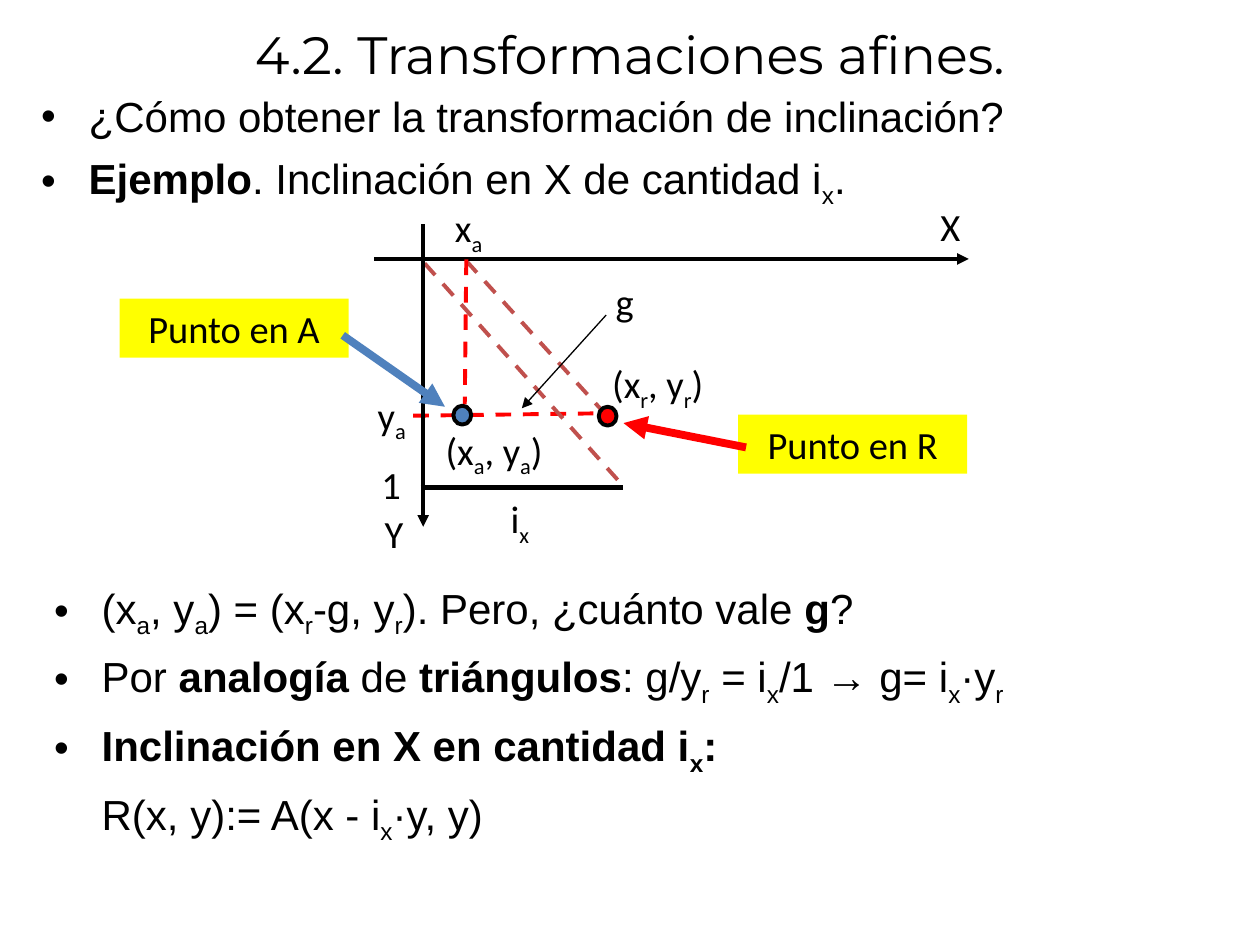
from dataclasses import dataclass

from lxml.etree import SubElement
from pptx import Presentation
from pptx.dml.color import RGBColor
from pptx.enum.dml import MSO_LINE
from pptx.enum.shapes import MSO_CONNECTOR, MSO_SHAPE
from pptx.enum.text import MSO_ANCHOR, PP_ALIGN
from pptx.oxml.ns import qn
from pptx.util import Cm, Pt


@dataclass(frozen=True)
class Theme:
    black: RGBColor = RGBColor(0x00, 0x00, 0x00)
    red: RGBColor = RGBColor(0xFF, 0x00, 0x00)
    brick: RGBColor = RGBColor(0xC0, 0x50, 0x4D)
    blue: RGBColor = RGBColor(0x4F, 0x81, 0xBD)
    yellow: RGBColor = RGBColor(0xFF, 0xFF, 0x00)
    title_font: str = "Montserrat"
    body_font: str = "Arial"
    label_font: str = "Calibri"
    title_size: float = 30
    body_size: float = 24
    label_size: float = 22
    paragraph_gap: float = 6.5
    thin: float = 0.75
    medium: float = 2.25
    thick: float = 3
    heavy: float = 4.5


THEME = Theme()


@dataclass(frozen=True)
class Run:
    text: str
    bold: bool = False
    subscript: bool = False


@dataclass(frozen=True)
class Item:
    runs: list[Run]
    bulleted: bool = True


@dataclass(frozen=True)
class Label:
    left: float
    top: float
    width: float
    runs: list[Run]
    align: PP_ALIGN = PP_ALIGN.CENTER


@dataclass(frozen=True)
class Segment:
    start: tuple[float, float]
    end: tuple[float, float]
    color: RGBColor = THEME.black
    width: float = THEME.medium
    dashed: bool = False
    arrow: bool = False


@dataclass(frozen=True)
class Callout:
    left: float
    top: float
    text: str
    start: tuple[float, float]
    end: tuple[float, float]
    color: RGBColor


@dataclass(frozen=True)
class Dot:
    left: float
    top: float
    color: RGBColor


def sub(text: str, bold: bool = False) -> Run:
    """Return a subscript run."""
    return Run(text, bold, True)


def pair(index: str) -> list[Run]:
    """Return the runs of a coordinate pair with the given subscript."""
    return [Run("(x"), sub(index), Run(", y"), sub(index), Run(")")]


QUESTION = [
    Item([Run("¿Cómo obtener la transformación de inclinación?")]),
    Item([Run("Ejemplo", True), Run(". Inclinación en X de cantidad i"), sub("x"), Run(".")]),
]
ANSWER = [
    Item([*pair("a"), Run(" = (x"), sub("r"), Run("-g, y"), sub("r"),
          Run("). Pero, ¿cuánto vale "), Run("g", True), Run("?")]),
    Item([Run("Por "), Run("analogía", True), Run(" de "), Run("triángulos", True),
          Run(": g/y"), sub("r"), Run(" = i"), sub("x"), Run("/1 → g= i"), sub("x"),
          Run("·y"), sub("r")]),
    Item([Run("Inclinación en X en cantidad i", True), sub("x", True), Run(":", True)]),
    Item([Run("R(x, y):= A(x - i"), sub("x"), Run("·y, y)")], bulleted=False),
]
SEGMENTS = [
    Segment((9.4, 5.26), (12.14, 8.28), THEME.brick, dashed=True),
    Segment((8.33, 8.38), (12.27, 8.33), THEME.red, dashed=True),
    Segment((8.48, 9.83), (12.55, 9.83), width=THEME.thick),
    Segment((8.56, 5.31), (12.52, 9.75), THEME.brick, dashed=True),
    Segment((7.54, 5.22), (19.53, 5.22), arrow=True),
    Segment((8.53, 4.52), (8.53, 10.62), arrow=True),
    Segment((9.4, 5.23), (9.37, 8.15), THEME.red, dashed=True),
    Segment((12.22, 6.35), (10.52, 8.23), width=THEME.thin, arrow=True),
]
DOTS = [Dot(12.07, 8.2, THEME.red), Dot(9.14, 8.18, THEME.blue)]
CALLOUTS = [
    Callout(2.41, 6.02, "Punto en A", (6.91, 6.76), (8.97, 8.2), THEME.blue),
    Callout(14.88, 8.36, "Punto en R", (15.04, 9.02), (12.57, 8.53), THEME.red),
]
LABELS = [
    Label(9.68, 9.86, 1.6, [Run("i"), sub("x")]),
    Label(18.54, 3.96, 1.07, [Run("X")], PP_ALIGN.RIGHT),
    Label(7.26, 10.16, 1.12, [Run("Y")], PP_ALIGN.RIGHT),
    Label(8.92, 3.99, 1.88, [Run("x"), sub("a")], PP_ALIGN.LEFT),
    Label(8.41, 8.48, 3.1, pair("a")),
    Label(7.26, 9.17, 1.07, [Run("1")], PP_ALIGN.RIGHT),
    Label(6.93, 7.77, 1.5, [Run("y"), sub("a")], PP_ALIGN.RIGHT),
    Label(11.84, 7.14, 2.84, pair("r")),
    Label(11.86, 5.49, 1.47, [Run("g")]),
]
LABEL_HEIGHT = 1.19


def add_runs(paragraph, runs: list[Run], font: str, size: float) -> None:
    """Append formatted runs to a paragraph."""
    for part in runs:
        run = paragraph.add_run()
        run.text = part.text
        run.font.name = font
        run.font.size = Pt(size)
        run.font.bold = part.bold
        run.font.color.rgb = THEME.black
        if part.subscript:
            run.font._element.set("baseline", "-25000")


def add_title(slide, text: str) -> None:
    """Place and format the slide title."""
    title = slide.shapes.title
    title.left, title.top, title.width, title.height = Cm(0.5), Cm(0), Cm(24.4), Cm(2.16)
    title.text_frame.vertical_anchor = MSO_ANCHOR.MIDDLE
    paragraph = title.text_frame.paragraphs[0]
    paragraph.alignment = PP_ALIGN.CENTER
    add_runs(paragraph, [Run(text)], THEME.title_font, THEME.title_size)


def add_list(slide, left: float, top: float, height: float, items: list[Item]) -> None:
    """Draw a bulleted list."""
    box = slide.shapes.add_textbox(Cm(left), Cm(top), Cm(24.08), Cm(height))
    frame = box.text_frame
    frame.word_wrap = True
    indent = Cm(0.96)
    for index, item in enumerate(items):
        paragraph = frame.add_paragraph() if index else frame.paragraphs[0]
        properties = paragraph._p.get_or_add_pPr()
        properties.set("marL", str(indent))
        if item.bulleted:
            properties.set("indent", str(-indent))
            SubElement(properties, qn("a:buFont"), typeface=THEME.body_font)
            SubElement(properties, qn("a:buChar"), char="•")
        if index:
            paragraph.space_before = Pt(THEME.paragraph_gap)
        add_runs(paragraph, item.runs, THEME.body_font, THEME.body_size)


def style_line(line, color: RGBColor, width: float, arrow: bool = False) -> None:
    """Set the colour, width and arrowhead of a line."""
    line.color.rgb = color
    line.width = Pt(width)
    if arrow:
        SubElement(line._get_or_add_ln(), qn("a:tailEnd"), type="triangle")


def add_segment(slide, segment: Segment) -> None:
    """Draw a straight line of the diagram."""
    connector = slide.shapes.add_connector(
        MSO_CONNECTOR.STRAIGHT, *map(Cm, segment.start + segment.end))
    if segment.dashed:
        connector.line.dash_style = MSO_LINE.DASH
    style_line(connector.line, segment.color, segment.width, segment.arrow)
    SubElement(connector._element.spPr, qn("a:effectLst"))


def add_filled(slide, kind: MSO_SHAPE, bounds: tuple[float, ...], color: RGBColor):
    """Draw a filled preset shape and return it."""
    shape = slide.shapes.add_shape(kind, *map(Cm, bounds))
    shape.shadow.inherit = False
    shape.fill.solid()
    shape.fill.fore_color.rgb = color
    return shape


def add_dot(slide, dot: Dot) -> None:
    """Draw an outlined point."""
    shape = add_filled(slide, MSO_SHAPE.OVAL, (dot.left, dot.top, 0.36, 0.38), dot.color)
    style_line(shape.line, THEME.black, THEME.medium)


def add_callout(slide, callout: Callout) -> None:
    """Draw a highlighted name and its heavy arrow."""
    bounds = (callout.left, callout.top, 4.62, LABEL_HEIGHT)
    shape = add_filled(slide, MSO_SHAPE.RECTANGLE, bounds, THEME.yellow)
    shape.line.fill.background()
    paragraph = shape.text_frame.paragraphs[0]
    paragraph.alignment = PP_ALIGN.CENTER
    add_runs(paragraph, [Run(callout.text)], THEME.label_font, THEME.label_size)
    builder = slide.shapes.build_freeform(*map(Cm, callout.start))
    builder.add_line_segments([tuple(map(Cm, callout.end))], close=False)
    arrow = builder.convert_to_shape()
    arrow.shadow.inherit = False
    arrow.fill.background()
    style_line(arrow.line, callout.color, THEME.heavy, arrow=True)


def add_label(slide, label: Label) -> None:
    """Draw a diagram label."""
    box = slide.shapes.add_textbox(
        Cm(label.left), Cm(label.top), Cm(label.width), Cm(LABEL_HEIGHT))
    box.text_frame.word_wrap = True
    paragraph = box.text_frame.paragraphs[0]
    paragraph.alignment = label.align
    add_runs(paragraph, label.runs, THEME.label_font, THEME.label_size)


def main() -> None:
    """Build and save the presentation."""
    presentation = Presentation()
    presentation.slide_width, presentation.slide_height = Cm(25.4), Cm(19.05)
    slide = presentation.slides.add_slide(presentation.slide_layouts[5])
    add_title(slide, "4.2. Transformaciones afines.")
    add_list(slide, 0.58, 1.7, 4.8, QUESTION)
    add_list(slide, 0.84, 11.61, 5.49, ANSWER)
    for draw, elements in ((add_segment, SEGMENTS), (add_dot, DOTS),
                           (add_callout, CALLOUTS), (add_label, LABELS)):
        for element in elements:
            draw(slide, element)
    presentation.save("out.pptx")


if __name__ == "__main__":
    main()
